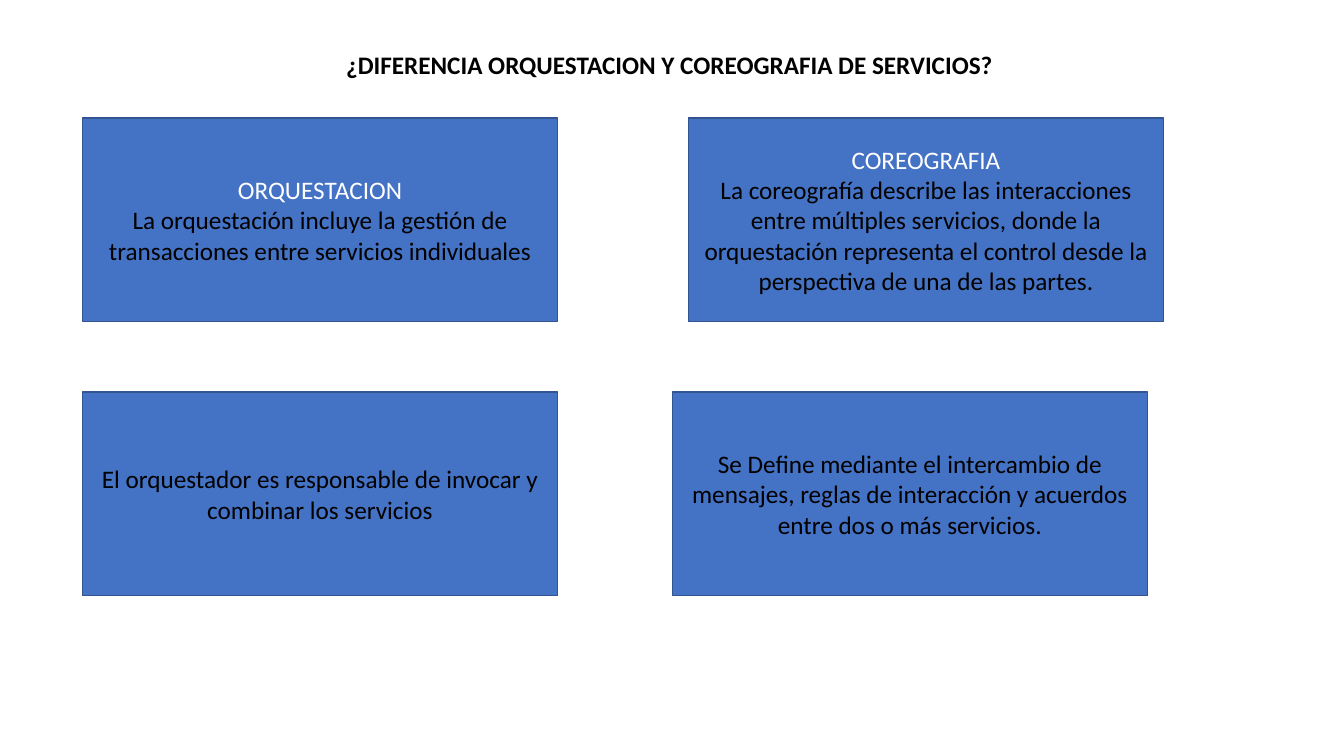
from pptx import Presentation, util as u
from pptx.dml.color import RGBColor
from pptx.enum import shapes, text

BLUE = RGBColor(0x44, 0x72, 0xC4)
NAVY = RGBColor(0x32, 0x54, 0x91)
BLACK = RGBColor(0, 0, 0)
WHITE = RGBColor(255, 255, 255)

# Grid, in percent of the slide's width (columns) and height (rows)
LEFT, RIGHT_TOP, RIGHT_BOTTOM = 6.15, 51.24, 50.04
TOP_ROW, BOTTOM_ROW = 15.6, 51.87
BOX_WIDTH, BOX_HEIGHT = 35.33, 26.93


def write(paragraph, words, size=18, color=BLACK, bold=False,
          align=text.PP_ALIGN.CENTER):
    paragraph.alignment = align
    run = paragraph.add_run()
    run.text = words
    run.font.name = "Calibri"
    run.font.size = u.Pt(size)
    run.font.bold = bold
    run.font.color.rgb = color


class ComparisonSlide:
    def __init__(self, deck):
        self.width, self.height = deck.slide_width, deck.slide_height
        self.slide = deck.slides.add_slide(deck.slide_layouts[5])

    def area(self, left, top, width, height):
        """Turn percentages of the slide into lengths."""
        return (int(self.width * left / 100), int(self.height * top / 100),
                int(self.width * width / 100), int(self.height * height / 100))

    def title(self, words, *place):
        heading = self.slide.shapes.title
        heading.left, heading.top, heading.width, heading.height = self.area(*place)
        frame = heading.text_frame
        frame.word_wrap = False
        frame.auto_size = text.MSO_AUTO_SIZE.NONE
        frame.vertical_anchor = text.MSO_ANCHOR.TOP
        write(frame.paragraphs[0], words, bold=True, align=text.PP_ALIGN.LEFT)

    def box(self, left, top, statement, concept=None):
        panel = self.slide.shapes.add_shape(
            shapes.MSO_SHAPE.RECTANGLE,
            *self.area(left, top, BOX_WIDTH, BOX_HEIGHT))
        panel.shadow.inherit = False
        panel.fill.solid()
        panel.fill.fore_color.rgb = BLUE
        panel.line.color.rgb = NAVY
        panel.line.width = u.Pt(1)
        frame = panel.text_frame
        frame.word_wrap = True
        frame.vertical_anchor = text.MSO_ANCHOR.MIDDLE
        paragraph = frame.paragraphs[0]
        if concept:
            write(paragraph, concept, color=WHITE)
            paragraph = frame.add_paragraph()
        write(paragraph, statement)


deck = Presentation()
deck.slide_width, deck.slide_height = u.Inches(13.33), u.Inches(7.5)
comparison = ComparisonSlide(deck)

# Heading
comparison.title("¿DIFERENCIA ORQUESTACION Y COREOGRAFIA DE SERVICIOS?",
                 25, 5.87, 50, 5.33)

# Orchestration
comparison.box(LEFT, TOP_ROW,
               "La orquestación incluye la gestión de transacciones entre "
               "servicios individuales", concept="ORQUESTACION")
comparison.box(LEFT, BOTTOM_ROW,
               "El orquestador es responsable de invocar y combinar los servicios")

# Choreography
comparison.box(RIGHT_TOP, TOP_ROW,
               "La coreografía describe las interacciones entre múltiples "
               "servicios, donde la orquestación representa el control desde "
               "la perspectiva de una de las partes.", concept="COREOGRAFIA")
comparison.box(RIGHT_BOTTOM, BOTTOM_ROW,
               "Se Define mediante el intercambio de mensajes, reglas de "
               "interacción y acuerdos entre dos o más servicios.")

deck.save("out.pptx")
